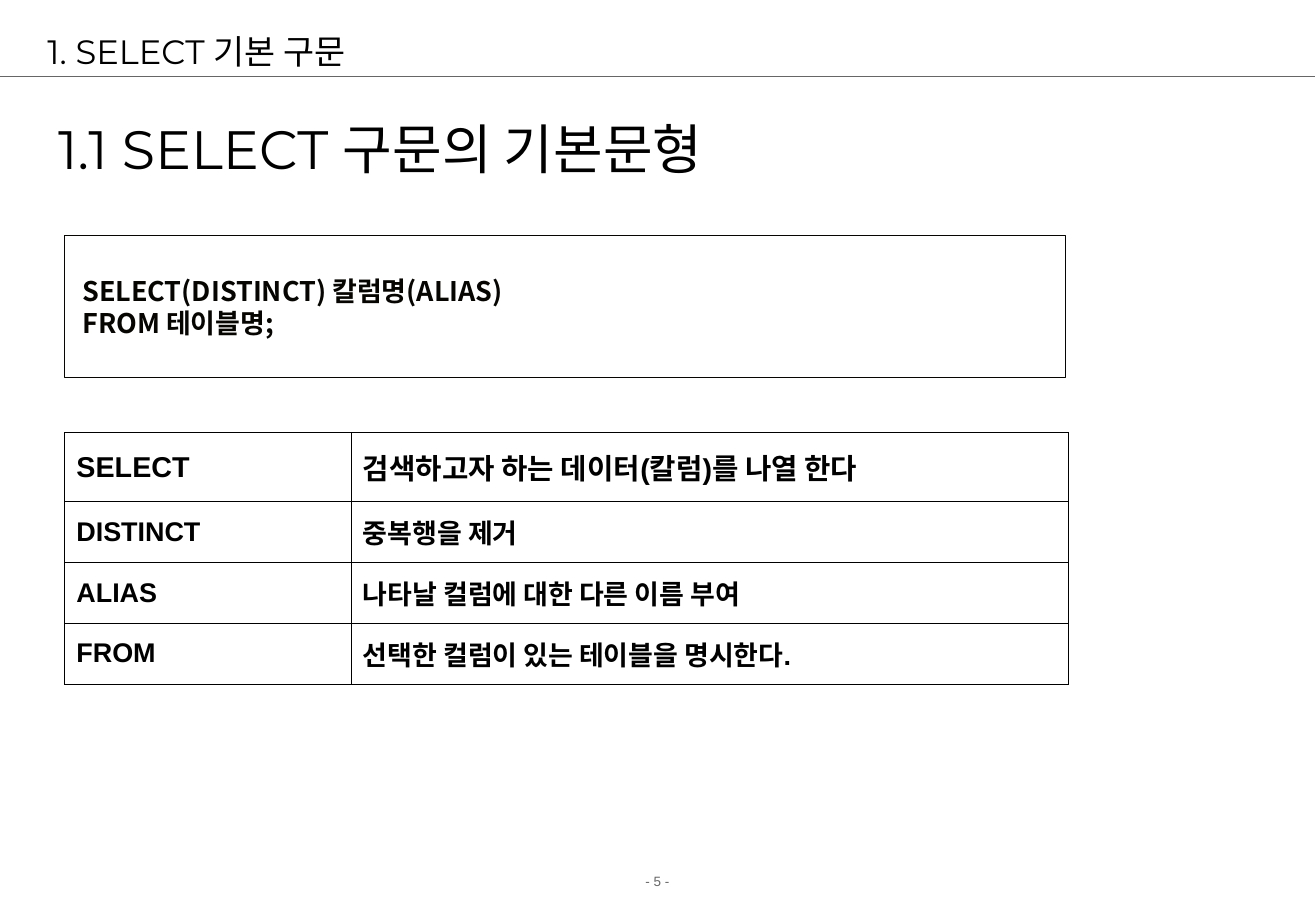
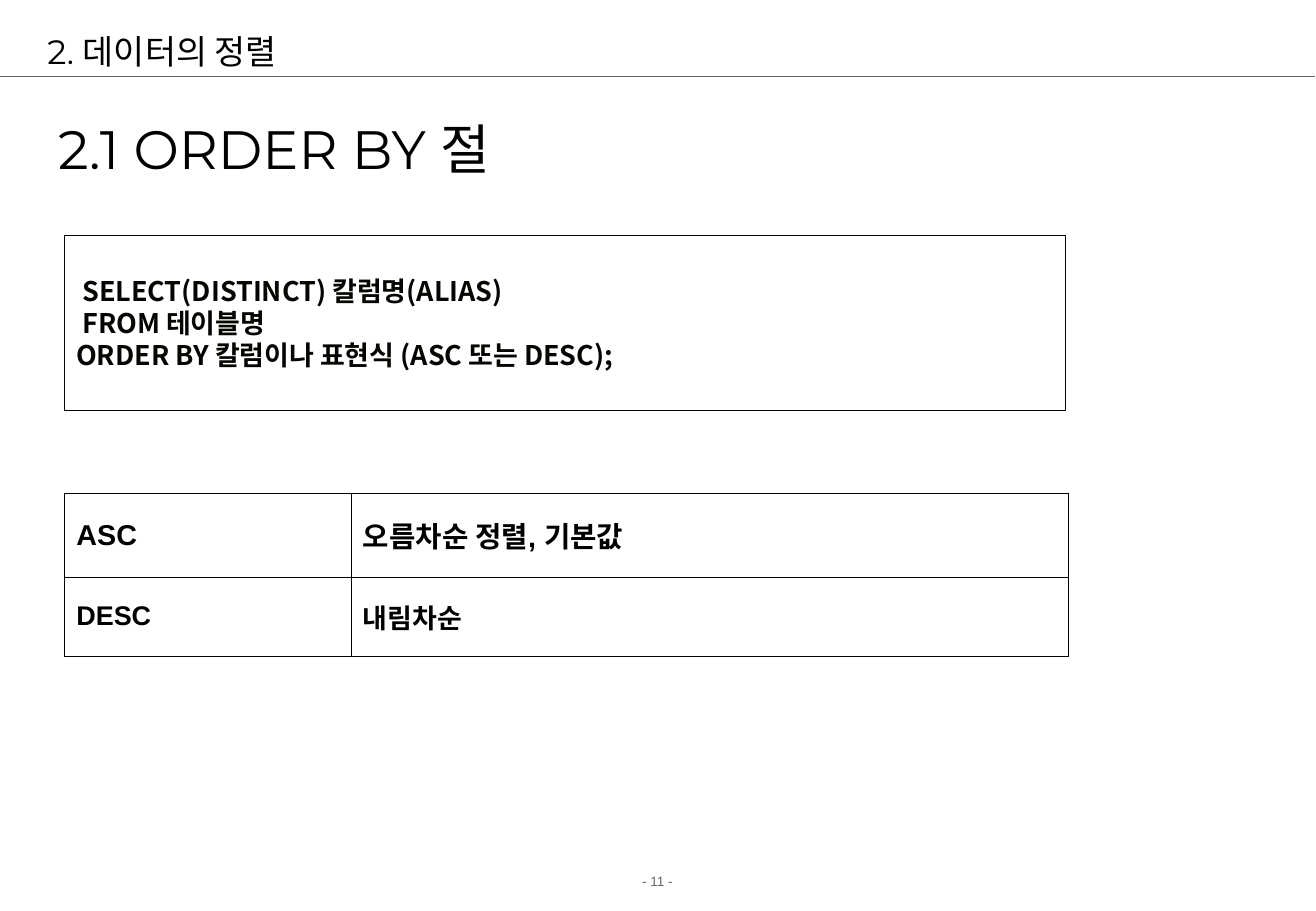
from lxml.etree import SubElement as Sub
from pptx import Presentation
from pptx.dml.color import RGBColor as RGB
from pptx.enum.shapes import MSO_CONNECTOR as Conn, MSO_SHAPE as Shape
from pptx.enum.text import MSO_ANCHOR as Anchor, MSO_AUTO_SIZE as Auto, PP_ALIGN as Align
from pptx.oxml.ns import qn
from pptx.util import Inches, Pt

BLACK, INK, GRAY, WHITE = "000000", "070501", "666666", "FFFFFF"
HEAD, BODY, CODE = "Montserrat", "Arial", "Noto Sans CJK KR"
LEFT = Inches(0.53)
COLS = [2.36, 5.91]


def color(code):
    return RGB.from_string(code)


def write(frame, text, size, font=BODY, tint=BLACK, bold=False,
          align=Align.LEFT, anchor=Anchor.MIDDLE, pitch=None):
    frame.word_wrap = True
    frame.vertical_anchor = anchor
    frame.text = text
    for para in frame.paragraphs:
        para.alignment = align
        para.line_spacing = pitch
        for run in para.runs:
            run.font.size = Pt(size)
            run.font.name = font
            run.font.bold = bold
            run.font.color.rgb = color(tint)
            Sub(run.font._element, qn("a:ea"), typeface=CODE)


pages = [
    {"page": 5, "title": "1. SELECT 기본 구문", "sub": "1.1 SELECT 구문의 기본문형",
     "code": [" SELECT(DISTINCT) 칼럼명(ALIAS)", " FROM 테이블명;"],
     "tall": 1.17, "top": 3.56, "rows": [
         (0.57, "SELECT", "검색하고자 하는 데이터(칼럼)를 나열 한다"),
         (0.5, "DISTINCT", "중복행을 제거"),
         (0.5, "ALIAS", "나타날 컬럼에 대한 다른 이름 부여"),
         (0.5, "FROM", "선택한 컬럼이 있는 테이블을 명시한다.")]},
    {"page": 11, "title": "2. 데이터의 정렬", "sub": "2.1 ORDER BY 절",
     "code": [" SELECT(DISTINCT) 칼럼명(ALIAS)", " FROM 테이블명",
              "ORDER BY 칼럼이나 표현식 (ASC 또는 DESC);"],
     "tall": 1.44, "top": 4.06, "rows": [
         (0.69, "ASC", "오름차순 정렬, 기본값"),
         (0.65, "DESC", "내림차순")]},
]

deck = Presentation()
deck.slide_width, deck.slide_height = Inches(10.84), Inches(7.5)
layout = deck.slide_layouts[5]
title = layout.placeholders[0]
title.left, title.top = Inches(0.29), Inches(0.21)
title.width, title.height = Inches(10.17), Inches(0.42)

for page in pages:
    slide = deck.slides.add_slide(layout)
    shapes = slide.shapes
    frame = shapes.title.text_frame
    write(frame, page["title"], 20, font=HEAD)
    frame.auto_size = Auto.NONE

    sub = shapes.add_textbox(Inches(0.38), Inches(0.76), Inches(8.5), Inches(0.92))
    write(sub.text_frame, page["sub"], 32, font=HEAD)

    box = shapes.add_shape(Shape.RECTANGLE, LEFT, Inches(1.94),
                           Inches(8.25), Inches(page["tall"]))
    box.shadow.inherit = False
    box.fill.background()
    box.line.color.rgb = color(INK)
    box.line.width = Pt(0.75)
    write(box.text_frame, "\n".join(page["code"]), 16, font=CODE, tint=INK,
          bold=True, pitch=Pt(19))

    rows = page["rows"]
    tall = sum(row[0] for row in rows)
    table = shapes.add_table(len(rows), len(COLS), LEFT, Inches(page["top"]),
                             Inches(sum(COLS)), Inches(tall)).table
    table.first_row = table.horz_banding = False
    for col, wide in zip(table.columns, COLS):
        col.width = Inches(wide)
    for i, (high, *texts) in enumerate(rows):
        table.rows[i].height = Inches(high)
        for j, text in enumerate(texts):
            cell = table.cell(i, j)
            write(cell.text_frame, text, 16 if i else 17, bold=True)
            cell.vertical_anchor = Anchor.MIDDLE
            props = cell._tc.get_or_add_tcPr()
            for side in ("lnL", "lnR", "lnT", "lnB"):
                edge = Sub(props, qn("a:" + side), w=str(Pt(0.34)))
                Sub(Sub(edge, qn("a:solidFill")), qn("a:srgbClr"), val=BLACK)
            cell.fill.solid()
            cell.fill.fore_color.rgb = color(WHITE)

    foot = shapes.add_textbox(0, Inches(7.14), Inches(10.83), Inches(0.24))
    write(foot.text_frame, f"- {page['page']} -", 8, tint=GRAY,
          align=Align.CENTER, anchor=Anchor.TOP)

rule = shapes.add_connector(Conn.STRAIGHT, 0, Inches(0.63), Inches(10.83), Inches(0.63))
rule.line.color.rgb = color(GRAY)
rule.line.width = Pt(0.75)
Sub(rule.element.spPr, qn("a:effectLst"))
layout.shapes.element.append(rule.element)

deck.save("out.pptx")
